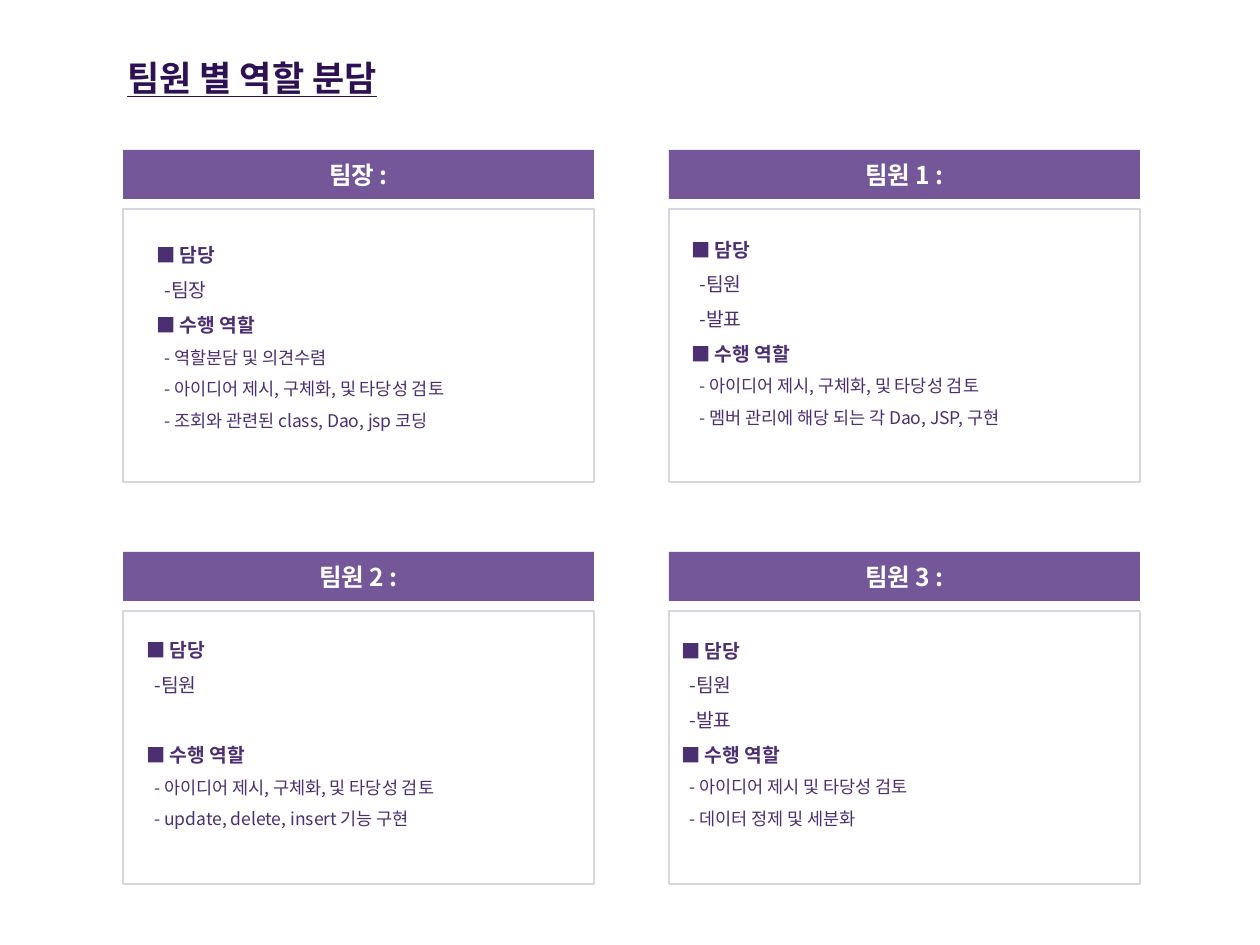
from dataclasses import dataclass

from lxml.etree import SubElement
from pptx import Presentation
from pptx.dml.color import RGBColor
from pptx.enum.shapes import MSO_SHAPE as Preset
from pptx.enum.text import MSO_ANCHOR as Anchor, MSO_AUTO_SIZE as AutoSize, PP_ALIGN as Align
from pptx.oxml.ns import qn
from pptx.util import Emu, Pt

PURPLE = RGBColor(0x73, 0x57, 0x98)
DEEP_PURPLE = RGBColor(0x2D, 0x11, 0x52)
TEXT_PURPLE = RGBColor(0x4B, 0x2F, 0x70)
PALE_GRAY = RGBColor(0xD6, 0xD7, 0xDE)
WHITE = RGBColor(0xFF, 0xFF, 0xFF)

KOREAN = "Noto Sans CJK KR"
TITLE = {"name": "Arial", "size": Pt(20), "bold": True, "underline": True}
HEADER = {"name": KOREAN, "size": Pt(14), "bold": True}
HEADING = {"name": KOREAN, "size": Pt(11), "bold": True}
ROLE = {"name": KOREAN, "size": Pt(11), "bold": False}
TASK = {"name": KOREAN, "size": Pt(10), "bold": False}

LEFT, TOP = 123, 150
COLUMN_STEP, ROW_STEP = 546, 402
PANEL_WIDTH, HEADER_HEIGHT, BODY_HEIGHT = 471, 49, 273
BODY_OFFSET = 59
DETAIL_WIDTH = 451
LINE_INDENT = 8


@dataclass(frozen=True)
class Member:
    header: str
    roles: tuple[str, ...]
    tasks: tuple[str, ...]
    detail_left: int
    detail_top: int
    detail_height: int
    tasks_gap: int = 0


MEMBERS = (
    Member("팀장 :", ("팀장",),
           ("- 역할분담 및 의견수렴",
            "- 아이디어 제시, 구체화, 및 타당성 검토",
            "- 조회와 관련된 class, Dao, jsp 코딩"), 144, 226, 213),
    Member("팀원 1 :", ("팀원", "발표"),
           ("- 아이디어 제시, 구체화, 및 타당성 검토",
            "- 멤버 관리에 해당 되는 각 Dao, JSP, 구현"), 679, 220, 248),
    Member("팀원 2 :", ("팀원",),
           ("- 아이디어 제시, 구체화, 및 타당성 검토",
            "- update, delete, insert 기능 구현"), 134, 621, 217, 20),
    Member("팀원 3 :", ("팀원", "발표"),
           ("- 아이디어 제시 및 타당성 검토",
            "- 데이터 정제 및 세분화"), 669, 621, 248),
)


def px(pixels: int) -> Emu:
    return Emu(round(pixels * 914400 / 126))


def write(paragraph, text: str, style: dict, color: RGBColor) -> None:
    run = paragraph.add_run()
    run.text = text
    for attribute, value in style.items():
        setattr(run.font, attribute, value)
    run.font.color.rgb = color
    SubElement(run.font._element, qn("a:ea")).set("typeface", KOREAN)


def add_box(slide, left: int, top: int, height: int):
    box = slide.shapes.add_shape(
        Preset.RECTANGLE, px(left), px(top), px(PANEL_WIDTH), px(height))
    box.shadow.inherit = False
    return box


def add_panel(slide, member: Member, left: int, top: int) -> None:
    header = add_box(slide, left, top, HEADER_HEIGHT)
    header.fill.solid()
    header.fill.fore_color.rgb = PURPLE
    header.line.fill.background()
    header.text_frame.vertical_anchor = Anchor.MIDDLE
    caption = header.text_frame.paragraphs[0]
    caption.alignment = Align.CENTER
    write(caption, member.header, HEADER, WHITE)

    body = add_box(slide, left, top + BODY_OFFSET, BODY_HEIGHT)
    body.fill.background()
    body.line.color.rgb = PALE_GRAY
    body.line.width = Pt(1.5)


def add_details(slide, member: Member) -> None:
    frame = slide.shapes.add_textbox(
        px(member.detail_left), px(member.detail_top),
        px(DETAIL_WIDTH), px(member.detail_height)).text_frame
    frame.word_wrap = True
    lines = [("■ 담당", HEADING, 0, 0)]
    lines += [(f"-{role}", ROLE, LINE_INDENT, 0) for role in member.roles]
    lines += [("■ 수행 역할", HEADING, 0, member.tasks_gap)]
    lines += [(task, TASK, LINE_INDENT, 0) for task in member.tasks]
    for index, (text, style, indent, gap) in enumerate(lines):
        paragraph = frame.add_paragraph() if index else frame.paragraphs[0]
        paragraph.line_spacing = 1.5
        paragraph.space_before = Pt(gap)
        paragraph._p.get_or_add_pPr().set("marL", str(px(indent)))
        write(paragraph, text, style, TEXT_PURPLE)


def add_title(slide) -> None:
    frame = slide.shapes.add_textbox(px(115), px(50), px(310), px(55)).text_frame
    frame.word_wrap = False
    frame.auto_size = AutoSize.SHAPE_TO_FIT_TEXT
    write(frame.paragraphs[0], "팀원 별 역할 분담", TITLE, DEEP_PURPLE)


deck = Presentation()
deck.slide_width, deck.slide_height = px(1260), px(945)
slide = deck.slides.add_slide(deck.slide_layouts[6])
add_title(slide)
for index, member in enumerate(MEMBERS):
    row, column = divmod(index, 2)
    add_panel(slide, member, LEFT + column * COLUMN_STEP, TOP + row * ROW_STEP)
    add_details(slide, member)
deck.save("out.pptx")
